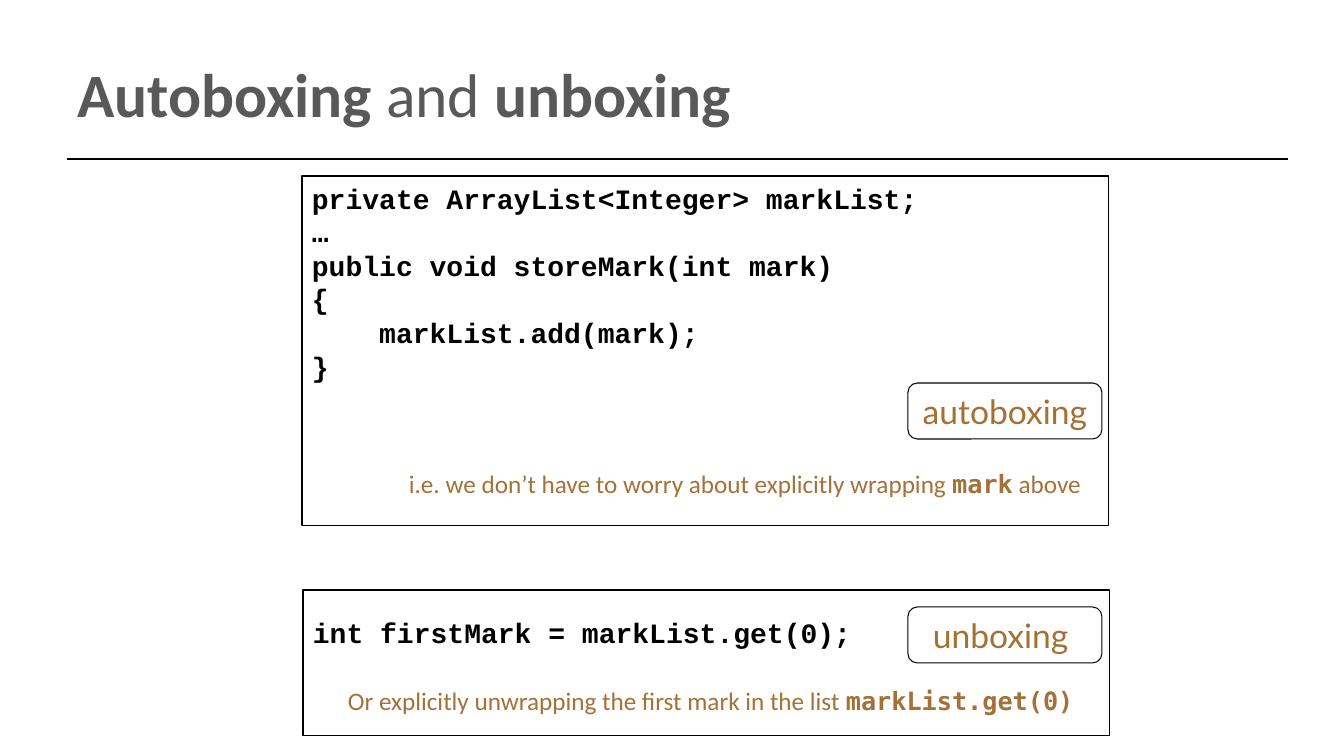
from pptx import Presentation
from pptx.dml.color import RGBColor
from pptx.enum.shapes import MSO_CONNECTOR, MSO_SHAPE
from pptx.enum.text import MSO_ANCHOR, PP_ALIGN
from pptx.oxml.ns import qn
from pptx.util import Pt
from lxml import etree

BLACK = RGBColor(0x00, 0x00, 0x00)
GREY = RGBColor(0x59, 0x59, 0x59)
LABEL_BROWN = RGBColor(0xA5, 0x71, 0x33)
NOTE_BROWN = RGBColor(0xA4, 0x71, 0x39)
CODE, BODY, LABEL, MONO = "Courier New", "Calibri", "Lato", "DejaVu Sans Mono"

# Content: runs are (text, bold); boxes are left, top, width, height in px
TITLE = [("Autoboxing", True), (" and ", False), ("unboxing", True)]
CODE_BOXES = [  # box, top margin, lines
    ((302, 176, 807, 350), 5, [
        "private ArrayList<Integer> markList;",
        "…",
        "public void storeMark(int mark)",
        "{",
        "    markList.add(mark);",
        "}",
    ]),
    ((303, 590, 807, 146), 25, ["int firstMark = markList.get(0);"]),
]
LABELS = [("autoboxing", 383), ("unboxing ", 607)]  # text, top
NOTES = [
    ((338, 680, 752, 40), [("Or explicitly unwrapping the first mark in the list ", False),
                           ("markList.get(0)", True)]),
    ((399, 463, 706, 40), [("i.e. we don’t have to worry about explicitly wrapping ", False),
                           ("mark", True), (" above", False)]),
]


def px(n):
    return round(n * 914400 / 100.8)


def place(box):
    return [px(n) for n in box]


def add_run(p, text, font, size, color, bold=False):
    r = p.add_run()
    r.text = text
    r.font.name, r.font.size, r.font.bold = font, Pt(size), bold
    r.font.color.rgb = color


def add_outline(kind, box):
    sp = slide.shapes.add_shape(kind, *place(box))
    sp.shadow.inherit = False
    sp.fill.background()
    sp.line.color.rgb = BLACK
    sp.line.width = Pt(0.75)
    sp.text_frame.word_wrap = True
    return sp


prs = Presentation()
prs.slide_width, prs.slide_height = px(1344), px(756)
slide = prs.slides.add_slide(prs.slide_layouts[5])

# Title and rule
title = slide.shapes.title
title.left, title.top, title.width, title.height = place((67, 30, 1210, 126))
tf = title.text_frame
tf.vertical_anchor = MSO_ANCHOR.MIDDLE
p = tf.paragraphs[0]
p.alignment = PP_ALIGN.LEFT
for text, bold in TITLE:
    add_run(p, text, BODY, 44, GREY, bold)

rule = slide.shapes.add_connector(MSO_CONNECTOR.STRAIGHT, *place((67, 159, 1288, 159)))
rule.line.color.rgb = BLACK
rule.line.width = Pt(1)
etree.SubElement(rule._element.spPr, qn("a:effectLst"))

# Code boxes
for box, margin, lines in CODE_BOXES:
    tf = add_outline(MSO_SHAPE.RECTANGLE, box).text_frame
    tf.vertical_anchor = MSO_ANCHOR.TOP
    tf.margin_top = px(margin)
    for i, line in enumerate(lines):
        p = tf.add_paragraph() if i else tf.paragraphs[0]
        p.alignment = PP_ALIGN.LEFT
        add_run(p, line, CODE, 20, BLACK, True)

# Rounded labels
for text, top in LABELS:
    sp = add_outline(MSO_SHAPE.ROUNDED_RECTANGLE, (908, top, 194, 56))
    tf = sp.text_frame
    tf.vertical_anchor = MSO_ANCHOR.MIDDLE
    p = tf.paragraphs[0]
    p.alignment = PP_ALIGN.CENTER
    add_run(p, text, LABEL, 24, LABEL_BROWN)

# Notes, with code words in bold monospace
for box, runs in NOTES:
    tf = slide.shapes.add_textbox(*place(box)).text_frame
    tf.word_wrap = True
    for text, bold in runs:
        add_run(tf.paragraphs[0], text, MONO if bold else BODY, 18, NOTE_BROWN, bold)

prs.save("out.pptx")
